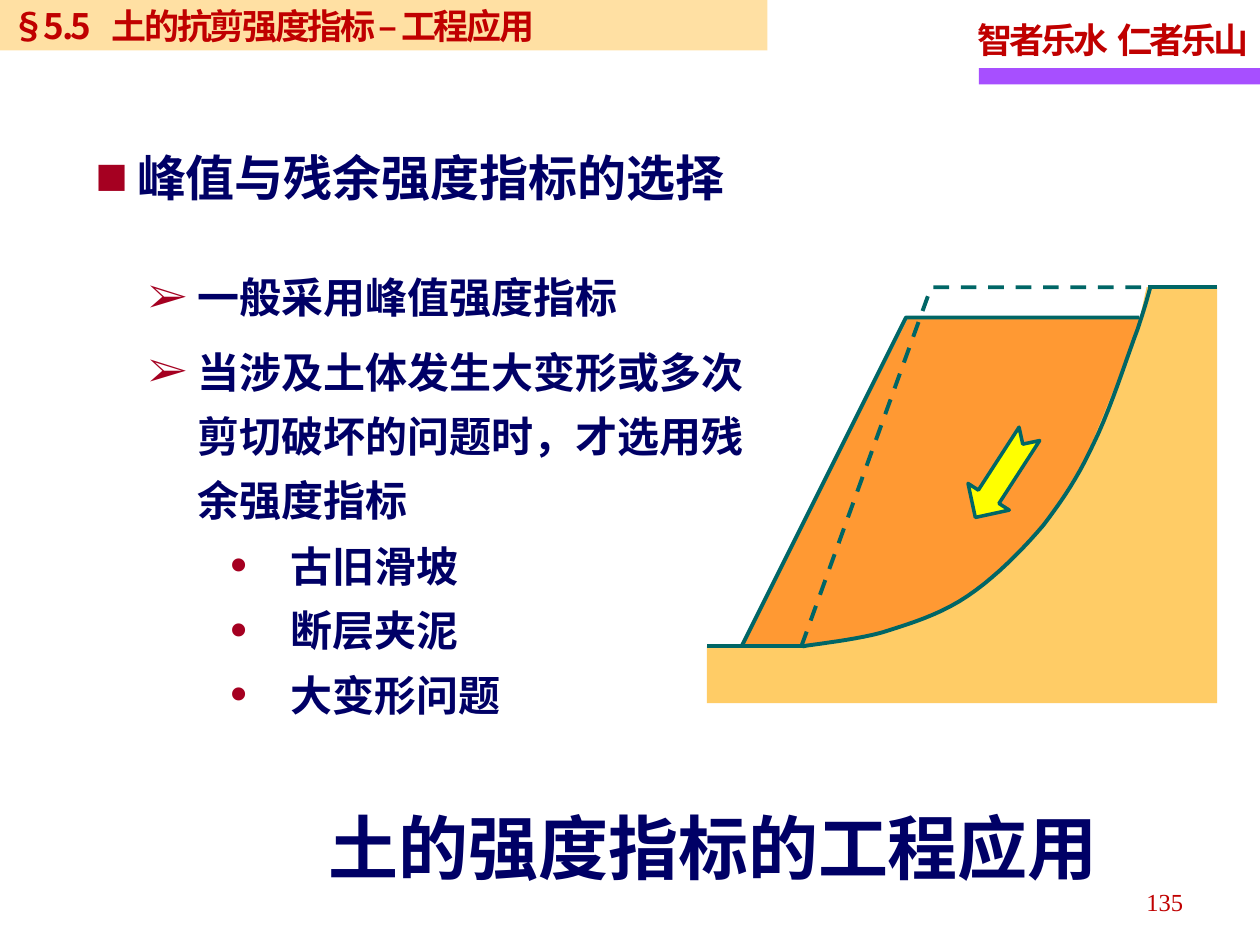
from lxml.etree import SubElement
from pptx import Presentation
from pptx.dml.color import RGBColor
from pptx.enum.dml import MSO_LINE
from pptx.enum.shapes import MSO_CONNECTOR, MSO_SHAPE
from pptx.enum.text import MSO_ANCHOR, MSO_AUTO_SIZE, PP_ALIGN
from pptx.oxml.ns import qn
from pptx.util import Inches, Pt

THEME = {
    "sans": "Noto Sans CJK SC", "serif": "Times New Roman",
    "red": "C00000", "navy": "000066", "bullet": "A50021", "purple": "A74FFF",
    "sand": "FFCC66", "slide_mass": "FF9933", "arrow": "FFFF00", "outline": "006666",
    "title": 40, "heading": 28, "list": 24, "header": 20, "number": 14,
}

SECTION = "§5.5\t土的抗剪强度指标 – 工程应用"
MOTTO = "智者乐水\t仁者乐山"
TITLE = "土的强度指标的工程应用"
HEADING = "峰值与残余强度指标的选择"
POINTS = ["一般采用峰值强度指标", "当涉及土体发生大变形或多次剪切破坏的问题时，才选用残余强度指标"]
CASES = ["古旧滑坡", "断层夹泥", "大变形问题"]
NUMBER = "135"

GROUND = [(5.61, 5.13), (5.9, 5.11), (7.11, 4.13), (8.23, 3.05), (9.05, 2.51),
          (9.1, 2.28), (9.66, 2.28), (9.66, 5.58), (5.61, 5.58)]
MASS = [(5.89, 5.12), (7.21, 2.52), (9.05, 2.53), (8.89, 2.97), (8.61, 3.65), (8.3, 4.14),
        (7.86, 4.61), (7.63, 4.76), (7.42, 4.87), (6.97, 5.03), (6.43, 5.12)]
SLIP_START = (6.37, 5.13)
SLIP_CURVES = [
    [(6.48, 5.11), (6.78, 5.08), (7, 5.02)],
    [(7.22, 4.95), (7.46, 4.88), (7.68, 4.73)],
    [(7.89, 4.59), (8.11, 4.37), (8.28, 4.17)],
    [(8.44, 3.96), (8.56, 3.78), (8.68, 3.52)],
    [(8.81, 3.26), (8.95, 2.82), (9.03, 2.61)],
    [(9.1, 2.4), (9.11, 2.35), (9.13, 2.28)],
]
OLD_SLOPE = [(6.36, 5.13), (7.39, 2.28), (9.11, 2.28)]
NEW_SLOPE = [(5.89, 5.12), (7.19, 2.52), (9.04, 2.52)]
LEVELS = [((9.11, 2.28), (9.66, 2.28)), ((6.37, 5.13), (5.61, 5.13))]


def color(name):
    return RGBColor.from_string(THEME[name])


def apply(target, values):
    for key, value in values.items():
        setattr(target, key, value)


def add_bullet(pPr, char, percent, hang):
    pPr.set("marL", str(Inches(hang)))
    pPr.set("indent", str(-Inches(hang)))
    tint = SubElement(pPr, qn("a:buClr"))
    SubElement(tint, qn("a:srgbClr"), val=THEME["bullet"])
    SubElement(pPr, qn("a:buSzPct"), val=str(percent * 1000))
    SubElement(pPr, qn("a:buFont"), typeface=THEME["serif"])
    SubElement(pPr, qn("a:buChar"), char=char)


def write(shape, texts, size, ink="navy", face="sans", bold=True, tracking=None, bullet=None,
          tab=None, before=0, level=0, anchor=MSO_ANCHOR.TOP, **spacing):
    frame = shape.text_frame
    apply(frame, {"word_wrap": True, "auto_size": MSO_AUTO_SIZE.NONE, "vertical_anchor": anchor})
    for index, text in enumerate(texts):
        paragraph = frame.add_paragraph() if index else frame.paragraphs[0]
        pPr = paragraph._p.get_or_add_pPr()
        if bullet:
            add_bullet(pPr, *bullet)
        if tab:
            stops = SubElement(pPr, qn("a:tabLst"))
            SubElement(stops, qn("a:tab"), pos=str(Inches(tab)), algn="l")
        apply(paragraph, {"level": level, "space_before": Pt(before if index else 0), **spacing})
        run = paragraph.add_run()
        run.text = text
        apply(run.font, {"name": THEME[face], "size": Pt(THEME[size]), "bold": bold})
        run.font.color.rgb = color(ink)
        rPr = run._r.get_or_add_rPr()
        if tracking:
            rPr.set("spc", str(int(tracking * 100)))
        SubElement(rPr, qn("a:ea"), typeface=THEME["sans"])


def place(shape, left, top, width, height):
    apply(shape, {"left": Inches(left), "top": Inches(top),
                  "width": Inches(width), "height": Inches(height)})
    return shape


def paint(shape, fill=None, line=None, weight=2.25):
    shape.shadow.inherit = False
    if fill:
        shape.fill.solid()
        shape.fill.fore_color.rgb = color(fill)
    else:
        shape.fill.background()
    if line:
        shape.line.color.rgb = color(line)
        shape.line.width = Pt(weight)
    else:
        shape.line.fill.background()
    return shape


def add_box(shapes, *box):
    return shapes.add_textbox(*map(Inches, box))


def add_preset(shapes, preset, box, **look):
    return paint(shapes.add_shape(preset, *map(Inches, box)), **look)


def add_outline(shapes, points, close=False, **look):
    corners = [(Inches(x), Inches(y)) for x, y in points]
    builder = shapes.build_freeform(*corners[0], scale=1.0)
    builder.add_line_segments(corners[1:], close=close)
    return paint(builder.convert_to_shape(), **look)


def trace(start, curves, steps=10):
    points = [start]
    for curve in curves:
        knots = [points[-1], *curve]
        for step in range(1, steps + 1):
            t = step / steps
            weights = ((1 - t) ** 3, 3 * t * (1 - t) ** 2, 3 * t * t * (1 - t), t ** 3)
            points.append(tuple(sum(w * k[axis] for w, k in zip(weights, knots))
                                for axis in (0, 1)))
    return points


def draw_header(shapes):
    add_preset(shapes, MSO_SHAPE.RECTANGLE, (7.77, 0.54, 2.23, 0.13), fill="purple")
    write(add_box(shapes, 7.66, 0.07, 2.36, 0.49), [MOTTO], "header", ink="red",
          tracking=-1.7, tab=1.11, anchor=MSO_ANCHOR.MIDDLE)
    band = add_preset(shapes, MSO_SHAPE.RECTANGLE, (-0.01, 0, 6.1, 0.4), fill="sand")
    tint = band._element.spPr.find(qn("a:solidFill"))[0]
    SubElement(tint, qn("a:alpha"), val="60000")
    write(band, [SECTION], "header", ink="red", tracking=-1.4, tab=0.8,
          anchor=MSO_ANCHOR.MIDDLE, alignment=PP_ALIGN.LEFT)


def draw_slope(shapes):
    add_outline(shapes, GROUND, close=True, fill="sand")
    add_outline(shapes, MASS, close=True, fill="slide_mass")
    add_outline(shapes, trace(SLIP_START, SLIP_CURVES), line="outline")
    add_outline(shapes, OLD_SLOPE, line="outline").line.dash_style = MSO_LINE.DASH
    add_outline(shapes, NEW_SLOPE, line="outline")
    arrow = add_preset(shapes, MSO_SHAPE.NOTCHED_RIGHT_ARROW, (7.56, 3.58, 0.79, 0.39),
                       fill="arrow", line="outline", weight=2)
    arrow.rotation = 122.9
    for start, end in LEVELS:
        level = shapes.add_connector(MSO_CONNECTOR.STRAIGHT, *map(Inches, start + end))
        level.line.color.rgb = color("outline")
        level.line.width = Pt(2.25)
        SubElement(level._element.spPr, qn("a:effectLst"))


def main():
    deck = Presentation()
    apply(deck, {"slide_width": Inches(10), "slide_height": Inches(7.5)})
    slide = deck.slides.add_slide(deck.slide_layouts[1])
    shapes = slide.shapes
    draw_header(shapes)
    write(add_box(shapes, 0.66, 1.03, 8.47, 0.59), [HEADING], "heading",
          bullet=("■", 110, 0.33), line_spacing=Pt(40))
    write(place(slide.placeholders[1], 1.08, 2, 5.03, 2.2), POINTS, "list",
          bullet=("➢", 100, 0.39), before=6, line_spacing=Pt(36.6))
    write(add_box(shapes, 1.72, 4.18, 3.07, 1.65), CASES, "list", bullet=("•", 130, 0.49),
          before=4, level=1, line_spacing=Pt(32.9))
    draw_slope(shapes)
    title = place(shapes.title, 2.54, 6.38, 6.24, 0.67)
    apply(title.text_frame, dict.fromkeys(
        ("margin_left", "margin_top", "margin_right", "margin_bottom"), 0))
    write(title, [TITLE], "title", anchor=MSO_ANCHOR.MIDDLE, alignment=PP_ALIGN.CENTER)
    write(add_box(shapes, 7.16, 6.96, 2.33, 0.4), [NUMBER], "number", ink="red", face="serif",
          bold=False, anchor=MSO_ANCHOR.MIDDLE, alignment=PP_ALIGN.RIGHT)
    deck.save("out.pptx")


if __name__ == "__main__":
    main()
